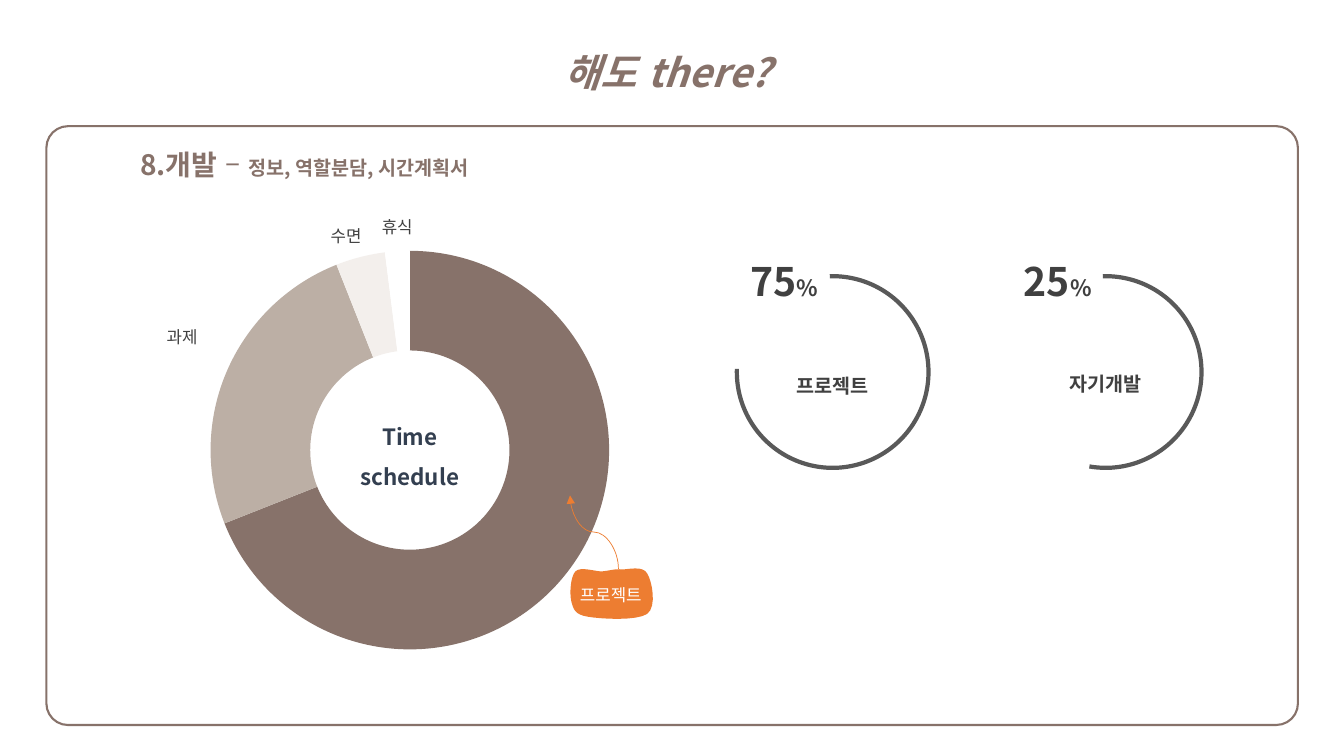
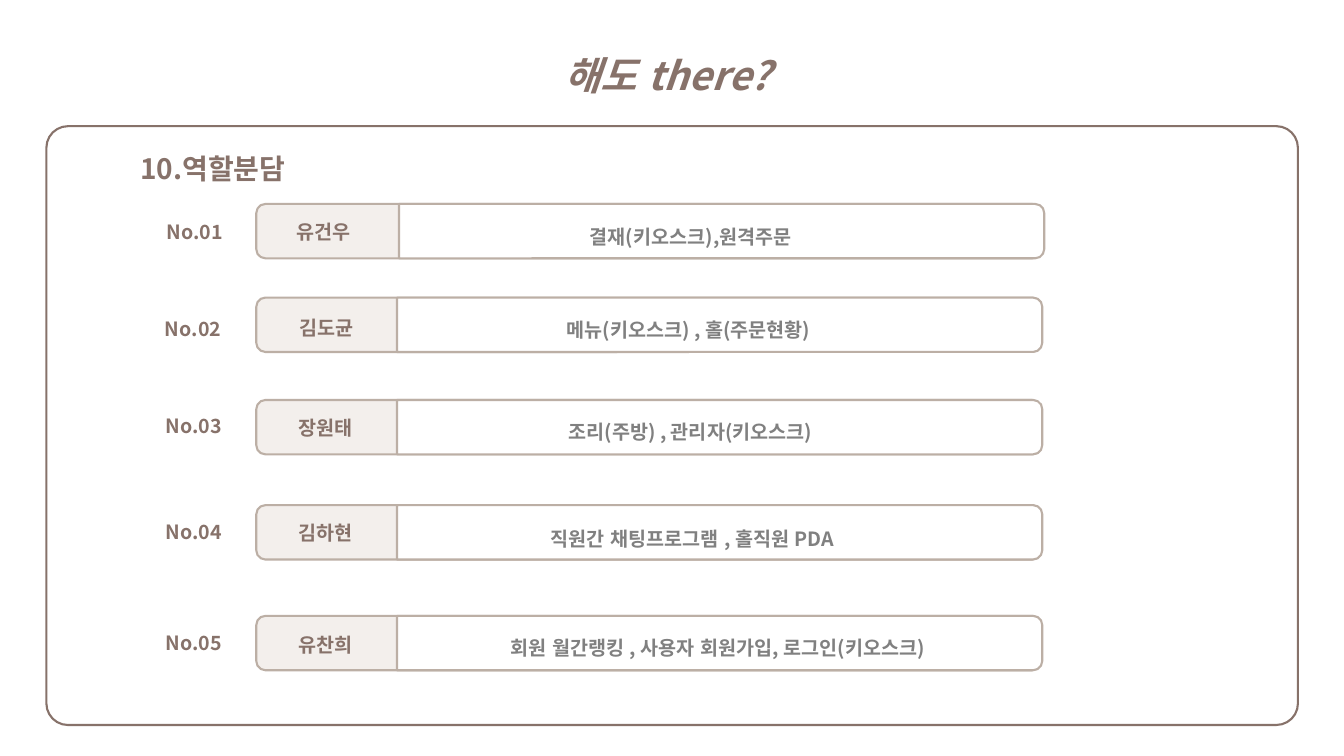
"""Build two slides: a time schedule with a doughnut chart and a list of roles."""
from lxml.etree import SubElement
from pptx import Presentation
from pptx.chart.data import CategoryChartData
from pptx.dml.color import RGBColor
from pptx.enum.chart import XL_CHART_TYPE as ChartType
from pptx.enum.lang import MSO_LANGUAGE_ID as Language
from pptx.enum.shapes import MSO_CONNECTOR as Connector, MSO_SHAPE as Preset
from pptx.enum.text import MSO_ANCHOR as Anchor, MSO_AUTO_SIZE as AutoSize, PP_ALIGN as Align
from pptx.oxml.ns import qn
from pptx.util import Cm, Pt

FONT = "Noto Sans CJK KR"
COLORS = {
    "brown": "87726A",
    "taupe": "BCAFA5",
    "cream": "F3EFEC",
    "white": "FFFFFF",
    "orange": "ED7D31",
    "navy": "333F50",
    "dark": "404040",
    "arc": "595959",
    "gray": "808080",
}
RGB = {name: RGBColor.from_string(value) for name, value in COLORS.items()}


def write(frame, runs, color, align=Align.CENTER, spacing=1.0, italic=False):
    """Fill a text frame with one paragraph of (text, size, bold) runs."""
    frame.word_wrap = True
    frame.auto_size = AutoSize.NONE
    frame.vertical_anchor = Anchor.TOP
    paragraph = frame.paragraphs[0]
    paragraph.alignment = align
    paragraph.line_spacing = spacing
    for text, size, bold in runs:
        run = paragraph.add_run()
        run.text = text
        font = run.font
        font.name, font.size, font.bold, font.italic = FONT, Pt(size), bold, italic
        font.language_id = Language.KOREAN
        font.color.rgb = RGB[color]
        SubElement(font._element, qn("a:ea"), typeface=FONT)


def style(shape, fill=None, line=None, width=1.5):
    """Set the fill and outline of a shape and drop its shadow."""
    shape.shadow.inherit = False
    if fill:
        shape.fill.solid()
        shape.fill.fore_color.rgb = RGB[fill]
    else:
        shape.fill.background()
    if line:
        shape.line.color.rgb = RGB[line]
        shape.line.width = Pt(width)
    else:
        shape.line.fill.background()


presentation = Presentation()
presentation.slide_width, presentation.slide_height = Cm(33.87), Cm(19.05)

slides = []
for title_top, heading_top, heading in [
    (0.49, 3.17, [("8.개발 ", 20, True), ("– ", 20, False),
                  ("정보, 역할분담, 시간계획서", 14, True)]),
    (0.58, 3.28, [("10.역할분담", 20, True)]),
]:
    slide = presentation.slides.add_slide(presentation.slide_layouts[5])
    title = slide.shapes.title
    title.left, title.top = Cm(8.69), Cm(title_top)
    title.width, title.height = Cm(16.49), Cm(2.4)
    write(title.text_frame, [("해도 there? ", 28, True)], "brown", spacing=1.5, italic=True)
    panel = slide.shapes.add_shape(
        Preset.ROUNDED_RECTANGLE, Cm(1.17), Cm(3.18), Cm(31.54), Cm(15.09))
    panel.adjustments[0] = 0.036
    style(panel, "white", "brown")
    heading_box = slide.shapes.add_textbox(Cm(3.28), Cm(heading_top), Cm(22.71), Cm(1.5))
    write(heading_box.text_frame, heading, "brown", Align.LEFT, 1.5)
    slides.append(slide)
schedule_slide, roles_slide = slides

start = (15.16, 14.4)
curves = [
    ((14.99, 14.4), (14.63, 14.27), (14.5, 14.4)),
    ((14.38, 14.53), (14.35, 14.96), (14.4, 15.16)),
    ((14.45, 15.34), (14.48, 15.49), (14.81, 15.54)),
    ((15.13, 15.6), (16.05, 15.65), (16.31, 15.47)),
    ((16.56, 15.29), (16.43, 14.63), (16.31, 14.45)),
    ((16.2, 14.25), (15.85, 14.35), (15.67, 14.35)),
    ((15.49, 14.33), (15.39, 14.38), start),
]
steps = 8
outline = []
current = start
for first, second, end in curves:
    for step in range(1, steps + 1):
        t = step / steps
        outline.append(tuple(
            Cm((1 - t) ** 3 * a + 3 * (1 - t) ** 2 * t * b + 3 * (1 - t) * t ** 2 * c + t ** 3 * d)
            for a, b, c, d in zip(current, first, second, end)))
    current = end
builder = schedule_slide.shapes.build_freeform(Cm(start[0]), Cm(start[1]))
builder.add_line_segments(outline, close=True)
style(builder.convert_to_shape(), "orange")

chart_width, chart_height = 14.86, 11.68
chart_data = CategoryChartData(number_format="0.00%")
chart_data.categories = ["1", "2", "3", "4"]
chart_data.add_series("Series 1", (0.69, 0.25, 0.04, 0.02))
chart = schedule_slide.shapes.add_chart(
    ChartType.DOUGHNUT, Cm(2.9), Cm(5.27), Cm(chart_width), Cm(chart_height), chart_data).chart
chart.has_legend = False
chart.has_title = False
chart.font.name, chart.font.size = FONT, Pt(10)
series = chart.plots[0].series[0]
labels = series.data_labels
labels.show_value = True
labels.number_format, labels.number_format_is_linked = "0.00%", False
labels.font.name, labels.font.size = FONT, Pt(12)
labels.font.color.rgb = RGB["dark"]
slices = [
    ("프로젝트", "brown", "white", 1.95, 1.51),
    ("과제", "taupe", "dark", -2.28, -1.37),
    ("수면", "cream", "dark", -0.67, -1.78),
    ("휴식", "white", "dark", -0.08, -1.89),
]
for point_index, (text, fill, color, _, _) in enumerate(slices):
    point = series.points[point_index]
    point.format.fill.solid()
    point.format.fill.fore_color.rgb = RGB[fill]
    point.format.line.fill.background()
    write(point.data_label.text_frame, [(text, 12, False)], color)
for leader in chart.element.iter(qn("c:showLeaderLines")):
    leader.set("val", "0")

plot_area = chart.element.chart.plotArea
for old_layout in plot_area.findall(qn("c:layout")):
    plot_area.remove(old_layout)
layouts = [(plot_area, 0, [("layoutTarget", "inner"), ("xMode", "edge"), ("yMode", "edge"),
                           ("x", 0.16), ("y", 0.09), ("w", 0.68), ("h", 0.86)])]
for label, (_, _, _, x, y) in zip(list(chart.element.iter(qn("c:dLbl"))), slices):
    layouts.append((label, 1, [("x", x / chart_width), ("y", y / chart_height)]))
for parent, position, fields in layouts:
    layout = SubElement(parent, qn("c:layout"))
    parent.insert(position, layout)
    manual = SubElement(layout, qn("c:manualLayout"))
    for name, value in fields:
        SubElement(manual, qn(f"c:{name}"), val=str(value))

center_box = schedule_slide.shapes.add_textbox(Cm(8.41), Cm(10.19), Cm(3.84), Cm(2.31))
write(center_box.text_frame, [("Time schedule", 16, True)], "navy", spacing=1.5)

for left, end_angle, percent, caption, caption_top in [
    (18.57, 181.91, "75", "프로젝트", 8.99),
    (25.45, 99.77, "25", "자기개발", 8.94),
]:
    arc = schedule_slide.shapes.add_shape(Preset.ARC, Cm(left), Cm(6.96), Cm(4.83), Cm(4.83))
    for index, angle in enumerate((268.27, end_angle)):
        arc.adjustments[index] = angle * 0.6
    style(arc, line="arc", width=3)
    percent_box = schedule_slide.shapes.add_textbox(Cm(left), Cm(6.36), Cm(2.41), Cm(1.45))
    write(percent_box.text_frame, [(percent, 28, True), ("%", 16, True)], "dark")
    caption_box = schedule_slide.shapes.add_textbox(
        Cm(left + 0.38), Cm(caption_top), Cm(4.06), Cm(1.04))
    write(caption_box.text_frame, [(caption, 14, True)], "dark", spacing=1.5)

arrow = schedule_slide.shapes.add_connector(
    Connector.CURVE, Cm(14.05), Cm(14.02), Cm(15.9), Cm(12.8))
arrow.line.color.rgb = RGB["orange"]
arrow.line.width = Pt(0.5)
arrow_properties = arrow.element.spPr
arrow_properties.find(qn("a:xfrm")).set("rot", str(270 * 60000))
SubElement(arrow_properties.find(qn("a:ln")), qn("a:tailEnd"), type="triangle")
SubElement(arrow_properties, qn("a:effectLst"))

bar_height, task_width = 1.37, 16.26
roles = [
    (5.14, 17.5, (3.91, 5.41), "유건우", (7.16, 5.41), "결재(키오스크),원격주문 ", (9.35, 5.24)),
    (7.5, 17.45, (3.86, 7.87), "김도균", (7.23, 7.83), "메뉴(키오스크) , 홀(주문현황)", (9.22, 7.59)),
    (10.08, 17.45, (3.88, 10.31), "장원태", (7.21, 10.36), "조리(주방) , 관리자(키오스크)", (9.27, 10.16)),
    (12.73, 17.45, (3.88, 12.98), "김하현", (7.21, 13), "직원간 채팅프로그램 , 홀직원 PDA", (9.32, 12.85)),
    (15.52, 17.45, (3.88, 15.77), "유찬희", (7.19, 15.82),
     "회원 월간랭킹 , 사용자 회원가입, 로그인(키오스크)", (9.96, 15.6)),
]
for number, (top, task_left, number_at, name, name_at, task, task_at) in enumerate(roles, 1):
    bar = roles_slide.shapes.add_shape(
        Preset.ROUNDED_RECTANGLE, Cm(6.46), Cm(top), Cm(19.78), Cm(bar_height))
    style(bar, "cream", "taupe")
    task_panel = roles_slide.shapes.add_shape(
        Preset.ROUND_2_SAME_RECTANGLE, Cm(task_left), Cm(top + (bar_height - task_width) / 2),
        Cm(bar_height), Cm(task_width))
    task_panel.rotation = 90
    style(task_panel, "white", "taupe")
    for text, (left, text_top), width, color, spacing in [
        (f"No.{number:02}", number_at, 2.01, "brown", 1.0),
        (name, name_at, 2.01, "brown", 1.0),
        (task, task_at, task_width, "gray", 1.5),
    ]:
        text_box = roles_slide.shapes.add_textbox(Cm(left), Cm(text_top), Cm(width), Cm(1))
        write(text_box.text_frame, [(text, 14, True)], color, spacing=spacing)

presentation.save("out.pptx")
